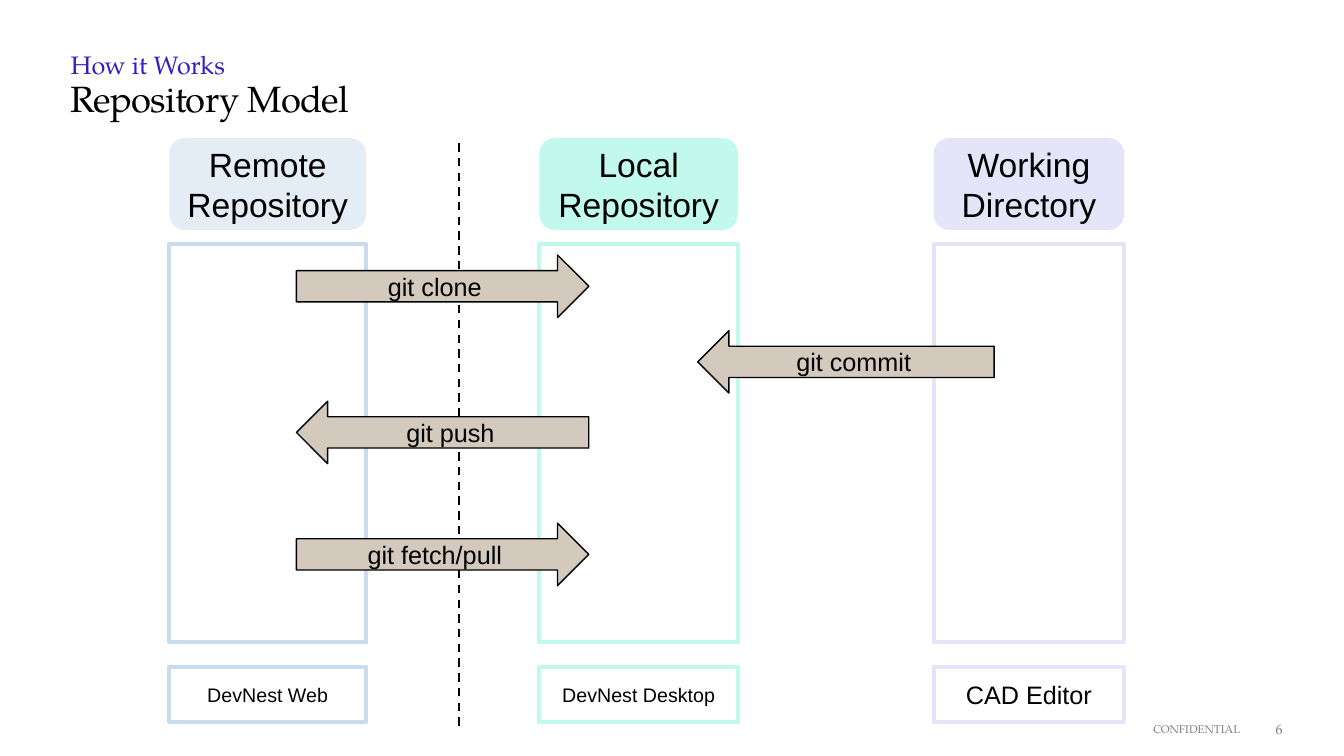
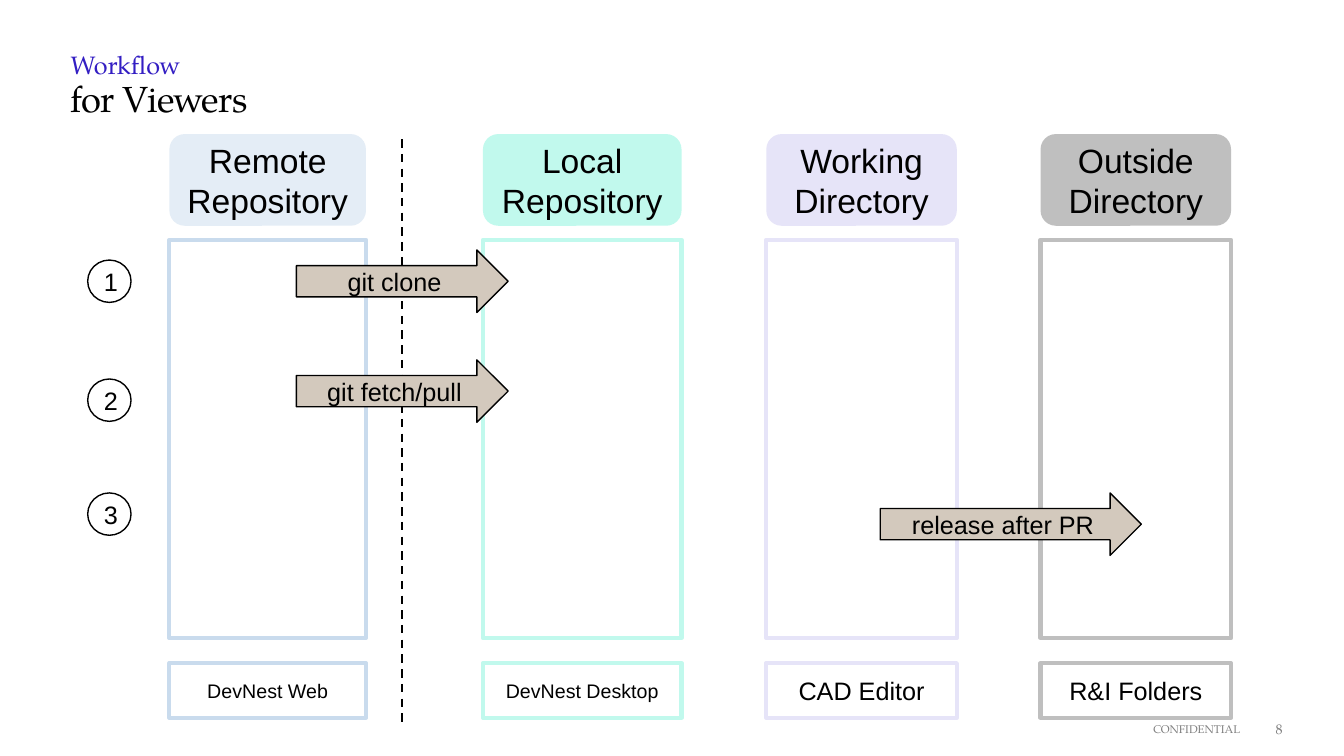
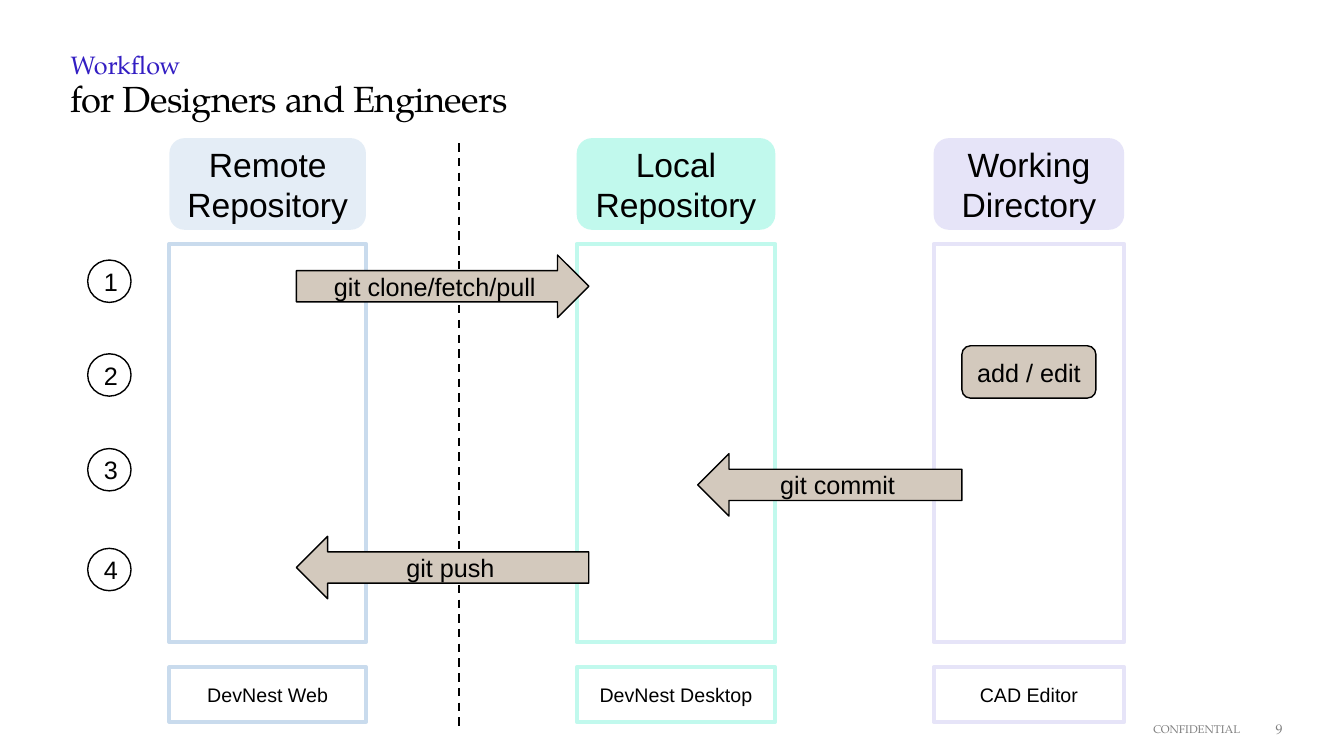
from collections import namedtuple

from lxml import etree
from pptx import Presentation
from pptx.dml.color import RGBColor
from pptx.enum.dml import MSO_LINE
from pptx.enum.shapes import MSO_CONNECTOR, MSO_SHAPE
from pptx.enum.text import MSO_ANCHOR, MSO_AUTO_SIZE, PP_ALIGN
from pptx.oxml.ns import qn
from pptx.util import Inches, Pt

RECTANGLE = MSO_SHAPE.RECTANGLE
ROUNDED = MSO_SHAPE.ROUNDED_RECTANGLE
OVAL = MSO_SHAPE.OVAL
RIGHT = MSO_SHAPE.RIGHT_ARROW
LEFT = MSO_SHAPE.LEFT_ARROW
STRAIGHT = MSO_CONNECTOR.STRAIGHT
DASH = MSO_LINE.DASH
TOP = MSO_ANCHOR.TOP
MIDDLE = MSO_ANCHOR.MIDDLE
NO_AUTOFIT = MSO_AUTO_SIZE.NONE
ALIGN_LEFT = PP_ALIGN.LEFT
ALIGN_CENTER = PP_ALIGN.CENTER
ALIGN_RIGHT = PP_ALIGN.RIGHT

SERIF = "TeX Gyre Pagella"
SANS = "Arial"
BLACK = "000000"
WHITE = "FFFFFF"
GRAY = "808080"
INDIGO = "331EC3"
SAND = "D3C9BD"

HEADER_HEIGHT = 0.91
FRAME_OFFSET = 1.05
FRAME_HEIGHT = 3.95
LABEL_OFFSET = 5.25
LABEL_HEIGHT = 0.54
DIVIDER_OFFSET = 0.05
DIVIDER_LENGTH = 5.79
ARROW_HEIGHT = 0.62
BADGE_LEFT = 0.87
BADGE_WIDTH = 0.43
BADGE_HEIGHT = 0.42

Stage = namedtuple("Stage", "heading width fill border label label_size")
REMOTE = Stage("Remote Repository", 1.95, "E4EDF6", "C9DBED", "DevNest Web", 14)
LOCAL = Stage("Local Repository", 1.97, "C1F9ED", "C1F9ED", "DevNest Desktop", 14)
WORKING = Stage("Working Directory", 1.89, "E6E4F8", "E6E4F8", "CAD Editor", 18)
OUTSIDE = Stage("Outside Directory", 1.89, "BFBFBF", "BFBFBF", "R&I Folders", 18)


def color(value):
    return RGBColor.from_string(value)


def write_text(shape, text, size, font=SANS, text_color=BLACK, align=ALIGN_CENTER):
    frame = shape.text_frame
    frame.word_wrap = True
    frame.text = text
    paragraph = frame.paragraphs[0]
    paragraph.alignment = align
    run = paragraph.runs[0]
    run.font.name = font
    run.font.size = Pt(size)
    run.font.color.rgb = color(text_color)
    return paragraph


def add_box(slide, kind, left, top, width, height, fill, border=None, weight=1,
            text=None, size=18):
    shape = slide.shapes.add_shape(
        kind, Inches(left), Inches(top), Inches(width), Inches(height))
    shape.shadow.inherit = False
    shape.fill.solid()
    shape.fill.fore_color.rgb = color(fill)
    if border:
        shape.line.color.rgb = color(border)
        shape.line.width = Pt(weight)
    else:
        shape.line.fill.background()
    if text:
        shape.text_frame.vertical_anchor = MIDDLE
        write_text(shape, text, size)


def add_stage(slide, stage, left, top):
    add_box(slide, RECTANGLE, left, top + FRAME_OFFSET, stage.width, FRAME_HEIGHT,
            WHITE, stage.border, 3)
    add_box(slide, ROUNDED, left, top, stage.width, HEADER_HEIGHT, stage.fill,
            text=stage.heading, size=24)
    add_box(slide, RECTANGLE, left, top + LABEL_OFFSET, stage.width, LABEL_HEIGHT,
            WHITE, stage.border, 3, stage.label, stage.label_size)


def add_divider(slide, left, top):
    start = top + DIVIDER_OFFSET
    line = slide.shapes.add_connector(
        STRAIGHT, Inches(left), Inches(start), Inches(left),
        Inches(start + DIVIDER_LENGTH))
    line.line.color.rgb = color(BLACK)
    line.line.width = Pt(1.5)
    line.line.dash_style = DASH
    etree.SubElement(line._element.spPr, qn("a:effectLst"))


def add_arrow(slide, direction, left, top, width, text):
    add_box(slide, direction, left, top, width, ARROW_HEIGHT, SAND, BLACK, text=text)


def add_badges(slide, tops):
    for number, top in enumerate(tops, 1):
        add_box(slide, OVAL, BADGE_LEFT, top, BADGE_WIDTH, BADGE_HEIGHT, WHITE, BLACK,
                text=str(number))


def fill_placeholder(shape, text, top, height, size, text_color, spacing):
    shape.left, shape.top = Inches(0.6), Inches(top)
    shape.width, shape.height = Inches(6.32), Inches(height)
    frame = shape.text_frame
    frame.auto_size = NO_AUTOFIT
    frame.vertical_anchor = TOP
    frame.margin_top = frame.margin_bottom = Inches(0.04)
    paragraph = write_text(shape, text, size, SERIF, text_color, ALIGN_LEFT)
    paragraph.line_spacing = spacing
    paragraph.space_before = Pt(0)
    return paragraph


def add_footer(slide, text, left, top, width, height, size, align):
    box = slide.shapes.add_textbox(
        Inches(left), Inches(top), Inches(width), Inches(height))
    write_text(box, text, size, SERIF, GRAY, align)


def add_diagram_slide(presentation, section, title, number, top, stages, divider):
    slide = presentation.slides.add_slide(presentation.slide_layouts[0])
    heading = fill_placeholder(slide.shapes.title, title, 0.8, 0.42, 26, BLACK, 0.8)
    heading.runs[0].font._element.set("spc", "-50")
    fill_placeholder(slide.placeholders[1], section, 0.48, 0.27, 18, INDIGO, 0.9)
    add_footer(slide, str(number), 12.34, 7.1, 0.48, 0.27, 10, ALIGN_RIGHT)
    add_footer(slide, "CONFIDENTIAL", 11.34, 7.12, 1.09, 0.24, 8, ALIGN_LEFT)
    for stage, left in stages:
        add_stage(slide, stage, left, top)
    add_divider(slide, divider, top)
    return slide


def add_repository_model(presentation):
    stages = [(REMOTE, 1.68), (LOCAL, 5.35), (WORKING, 9.26)]
    slide = add_diagram_slide(presentation, "How it Works", "Repository Model", 6,
                              1.37, stages, 4.55)
    add_arrow(slide, RIGHT, 2.94, 2.53, 2.9, "git clone")
    add_arrow(slide, LEFT, 6.92, 3.28, 2.94, "git commit")
    add_arrow(slide, LEFT, 2.94, 3.98, 2.9, "git push")
    add_arrow(slide, RIGHT, 2.94, 5.19, 2.9, "git fetch/pull")


def add_viewer_workflow(presentation):
    stages = [(REMOTE, 1.68), (LOCAL, 4.79), (WORKING, 7.6), (OUTSIDE, 10.32)]
    slide = add_diagram_slide(presentation, "Workflow", "for Viewers", 8,
                              1.33, stages, 3.99)
    add_arrow(slide, RIGHT, 2.94, 2.48, 2.1, "git clone")
    add_arrow(slide, RIGHT, 2.94, 3.57, 2.1, "git fetch/pull")
    add_arrow(slide, RIGHT, 8.73, 4.89, 2.59, "release after PR")
    add_badges(slide, [2.58, 3.76, 4.89])


def add_designer_workflow(presentation):
    stages = [(REMOTE, 1.68), (LOCAL, 5.72), (WORKING._replace(label_size=14), 9.26)]
    slide = add_diagram_slide(presentation, "Workflow", "for Designers and Engineers", 9,
                              1.37, stages, 4.55)
    add_arrow(slide, RIGHT, 2.94, 2.53, 2.9, "git clone/fetch/pull")
    add_box(slide, ROUNDED, 9.54, 3.43, 1.33, 0.52, SAND, BLACK, text="add / edit")
    add_arrow(slide, LEFT, 6.92, 4.5, 2.62, "git commit")
    add_arrow(slide, LEFT, 2.94, 5.32, 2.9, "git push")
    add_badges(slide, [2.58, 3.51, 4.45, 5.44])


def main():
    presentation = Presentation()
    presentation.slide_width = Inches(13.33)
    presentation.slide_height = Inches(7.5)
    add_repository_model(presentation)
    add_viewer_workflow(presentation)
    add_designer_workflow(presentation)
    presentation.save("out.pptx")


if __name__ == "__main__":
    main()
